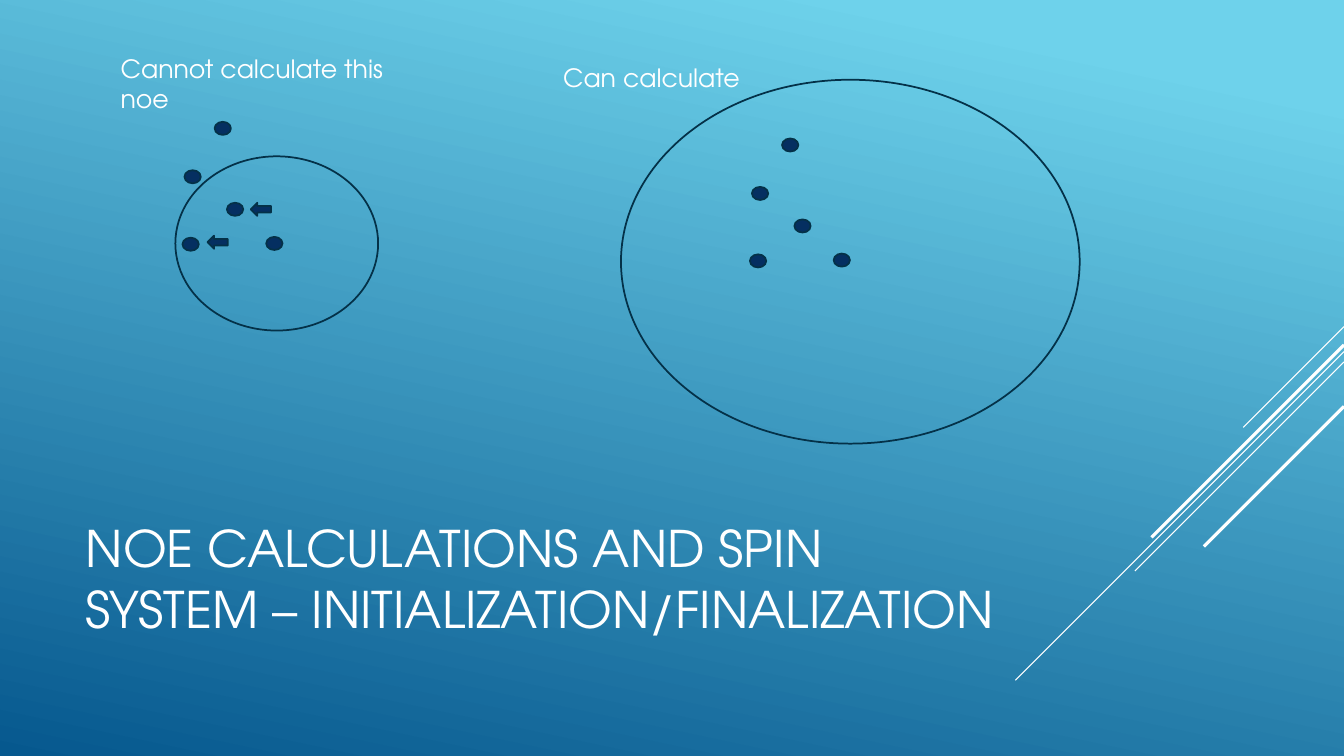
"""Build the slide on NOE calculations and spin system initialization."""
from lxml import etree
from pptx import Presentation
from pptx import util as u
from pptx.dml.color import RGBColor
from pptx.enum import shapes, text
from pptx.oxml.ns import qn

TITLE = ("NOE CALCULATIONS AND SPIN SYSTEM – INITIALIZATION/FINALIZATION", (1.9, 12.47, 23.7, 4.19))
LABELS = [
    ("Cannot calculate this noe", (2.79, 1.22, 7.14, 1.8)),
    ("Can calculate", (13.94, 1.45, 5.21, 1.02)),
]
CUTOFFS = [(4.42, 3.94, 5.11, 4.39), (15.65, 2.01, 11.56, 9.17)]
SPINS = [(4.65, 4.29), (5.41, 3.07), (4.6, 5.99), (5.72, 5.11), (6.71, 5.97)]
CLUSTER_SHIFTS = [(0, 0), (14.3, 0.42)]
ARROWS = [(5.23, 5.94), (6.32, 5.11)]
DIAGONALS = [
    (8.23, 2.54, "thin"),
    (8.86, 8.28, "thin"),
    (9.12, 5.27, "thin"),
    (8.69, 4.85, "thick"),
    (10.24, 3.53, "thick"),
]

SLIDE_SIZE = (33.87, 19.05)
SPIN_SIZE = (0.41, 0.33)
ARROW_SIZE = (0.51, 0.33)
THEME = {
    "font": "TeX Gyre Adventor",
    "title": u.Pt(36),
    "label": u.Pt(18),
    "thin": u.Pt(0.75),
    "thick": u.Pt(2.25),
    "outline": u.Pt(1.25),
    "white": RGBColor.from_string("FFFFFF"),
    "navy": RGBColor.from_string("052F61"),
    "edge": RGBColor.from_string("043148"),
    "gradient": [(0.1, RGBColor.from_string("6ED2EB")), (1, RGBColor.from_string("06588E"))],
    "gradient_angle": 258,
}


def lengths(values):
    return [u.Cm(value) for value in values]


def apply_format(target, values):
    for name, value in values.items():
        setattr(target, name, value)


def paint_background(slide):
    fill = slide.background.fill
    fill.gradient()
    fill.gradient_angle = THEME["gradient_angle"]
    for stop, (position, color) in zip(fill.gradient_stops, THEME["gradient"]):
        stop.position = position
        stop.color.rgb = color


def add_diagonal(slide, top, span, weight):
    right = SLIDE_SIZE[0]
    ends = lengths((right, top, right - span, top + span))
    connector = slide.shapes.add_connector(shapes.MSO_CONNECTOR.STRAIGHT, *ends)
    connector.line.color.rgb = THEME["white"]
    connector.line.width = THEME[weight]
    etree.SubElement(connector._element.spPr, qn("a:effectLst"))


def add_outlined(slide, kind, box, filled=True):
    shape = slide.shapes.add_shape(kind, *lengths(box))
    shape.shadow.inherit = False
    shape.line.color.rgb = THEME["edge"]
    shape.line.width = THEME["outline"]
    if filled:
        shape.fill.solid()
        shape.fill.fore_color.rgb = THEME["navy"]
    else:
        shape.fill.background()


def add_text(slide, words, box, role, anchor):
    frame = slide.shapes.add_textbox(*lengths(box)).text_frame
    apply_format(frame, {"word_wrap": True, "vertical_anchor": anchor})
    paragraph = frame.paragraphs[0]
    run = paragraph.add_run()
    run.text = words
    apply_format(run.font, {"name": THEME["font"], "size": THEME[role]})
    run.font.color.rgb = THEME["white"]


def main():
    presentation = Presentation()
    width, height = lengths(SLIDE_SIZE)
    apply_format(presentation, {"slide_width": width, "slide_height": height})
    slide = presentation.slides.add_slide(presentation.slide_layouts[6])
    paint_background(slide)
    for diagonal in DIAGONALS:
        add_diagonal(slide, *diagonal)
    add_text(slide, *TITLE, "title", text.MSO_ANCHOR.MIDDLE)
    oval = shapes.MSO_SHAPE.OVAL
    for box in CUTOFFS:
        add_outlined(slide, oval, box, filled=False)
    for shift_x, shift_y in CLUSTER_SHIFTS:
        for left, top in SPINS:
            add_outlined(slide, oval, (left + shift_x, top + shift_y, *SPIN_SIZE))
    for words, box in LABELS:
        add_text(slide, words, box, "label", text.MSO_ANCHOR.TOP)
    for corner in ARROWS:
        add_outlined(slide, shapes.MSO_SHAPE.LEFT_ARROW, (*corner, *ARROW_SIZE))
    presentation.save("out.pptx")


if __name__ == "__main__":
    main()
